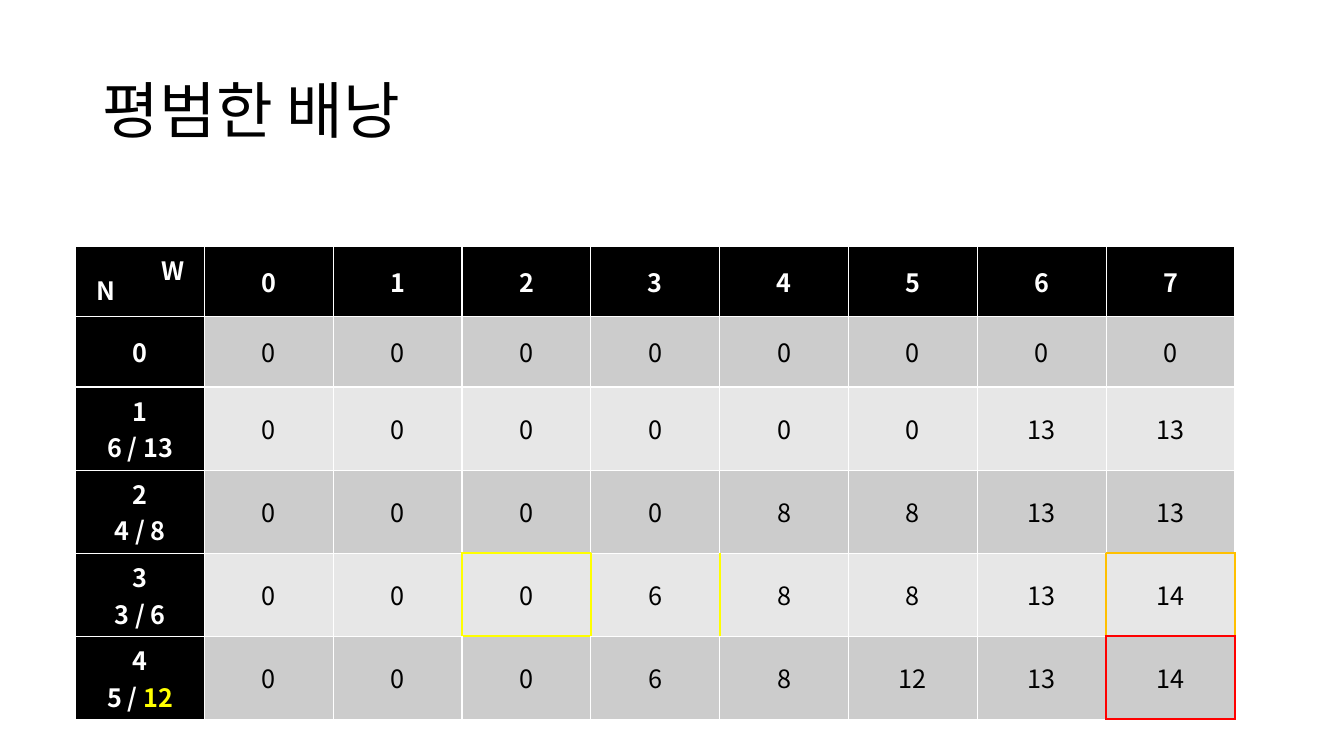
from lxml import etree
from pptx import Presentation
from pptx.dml.color import RGBColor
from pptx.enum import text
from pptx.oxml import ns
from pptx.util import Inches, Pt

FONT = "Noto Sans CJK KR"
COLORS = {
    "black": "000000", "white": "FFFFFF", "dark_band": "CCCCCC",
    "light_band": "E7E7E7", "yellow": "FFFF00", "orange": "FFC000", "red": "FF0000",
}


def style_runs(paragraph, size, color, bold=False):
    for run in paragraph.runs:
        run.font.size = Pt(size)
        run.font.bold = bold
        run.font.name = FONT
        run.font.color.rgb = RGBColor.from_string(COLORS[color])
        east_asian = etree.SubElement(run.font._element, ns.qn("a:ea"))
        east_asian.set("typeface", FONT)


def add_border(cell, side, color, width):
    line = etree.SubElement(cell._tc.get_or_add_tcPr(), ns.qn(f"a:ln{side}"), w=str(Pt(width)))
    fill = etree.SubElement(line, ns.qn("a:solidFill"))
    etree.SubElement(fill, ns.qn("a:srgbClr"), val=COLORS[color])


prs = Presentation()
prs.slide_width, prs.slide_height = Inches(13.33), Inches(7.5)
slide = prs.slides.add_slide(prs.slide_layouts[5])

title = slide.shapes.title
title.left, title.top = Inches(0.92), Inches(0.4)
title.width, title.height = Inches(11.5), Inches(1.45)
title.text_frame.text = "평범한 배낭"
title.text_frame.vertical_anchor = text.MSO_ANCHOR.MIDDLE
heading = title.text_frame.paragraphs[0]
heading.alignment = text.PP_ALIGN.LEFT
heading.line_spacing = 0.9
style_runs(heading, 44, "black")

knapsack = [
    ["", 0, 1, 2, 3, 4, 5, 6, 7],
    ["0", 0, 0, 0, 0, 0, 0, 0, 0],
    ["1\n6 / 13", 0, 0, 0, 0, 0, 0, 13, 13],
    ["2\n4 / 8", 0, 0, 0, 0, 8, 8, 13, 13],
    ["3\n3 / 6", 0, 0, 0, 6, 8, 8, 13, 14],
    ["4\n5 / ", 0, 0, 0, 6, 8, 12, 13, 14],
]
row_count, column_count = len(knapsack), len(knapsack[0])

borders = {}
for row in range(row_count):
    borders[row, 0, "R"] = borders[row, 1, "L"] = ("white", 1.5)
for column in range(column_count):
    borders[0, column, "B"] = borders[1, column, "T"] = ("white", 1.5)
for row, column, color in [(4, 3, "yellow"), (4, 8, "orange"), (5, 8, "red")]:
    for side in "LRTB":
        borders[row, column, side] = (color, 1.5)
    borders[row, column - 1, "R"] = borders[row, column + 1, "L"] = (color, 1.5)
    borders[row - 1, column, "B"] = borders[row + 1, column, "T"] = (color, 1.5)
borders[4, 4, "R"] = borders[4, 5, "L"] = ("yellow", 1.5)

table = slide.shapes.add_table(
    row_count, column_count, Inches(0.75), Inches(2.44), Inches(11.5), Inches(4.2)).table
table.first_col = True
for column in table.columns:
    column.width = Inches(11.5 / column_count)
for row in table.rows:
    row.height = Inches(0.7)

for row, values in enumerate(knapsack):
    for column, value in enumerate(values):
        cell = table.cell(row, column)
        is_header = row == 0 or column == 0
        cell.text_frame.text = str(value)
        cell.vertical_anchor = text.MSO_ANCHOR.MIDDLE
        for paragraph in cell.text_frame.paragraphs:
            paragraph.alignment = text.PP_ALIGN.CENTER
            style_runs(paragraph, 18, "white" if is_header else "black", is_header)
        for side in "LRTB":
            add_border(cell, side, *borders.get((row, column, side), ("white", 1)))
        band = "black" if is_header else "dark_band" if row % 2 else "light_band"
        cell.fill.solid()
        cell.fill.fore_color.rgb = RGBColor.from_string(COLORS[band])

last_item = table.cell(5, 0).text_frame.paragraphs[1]
last_value = last_item.add_run()
last_value.text = "12"
last_value.font.size = Pt(18)
last_value.font.bold = True
last_value.font.name = FONT
last_value.font.color.rgb = RGBColor.from_string(COLORS["yellow"])

for axis, left, top, width in [("N", 0.86, 2.68, 0.4), ("W", 1.5, 2.48, 0.46)]:
    axis_label = slide.shapes.add_textbox(Inches(left), Inches(top), Inches(width), Inches(0.4))
    axis_label.text_frame.text = axis
    axis_label.text_frame.word_wrap = False
    axis_label.text_frame.auto_size = text.MSO_AUTO_SIZE.SHAPE_TO_FIT_TEXT
    style_runs(axis_label.text_frame.paragraphs[0], 18, "white", True)

prs.save("out.pptx")
